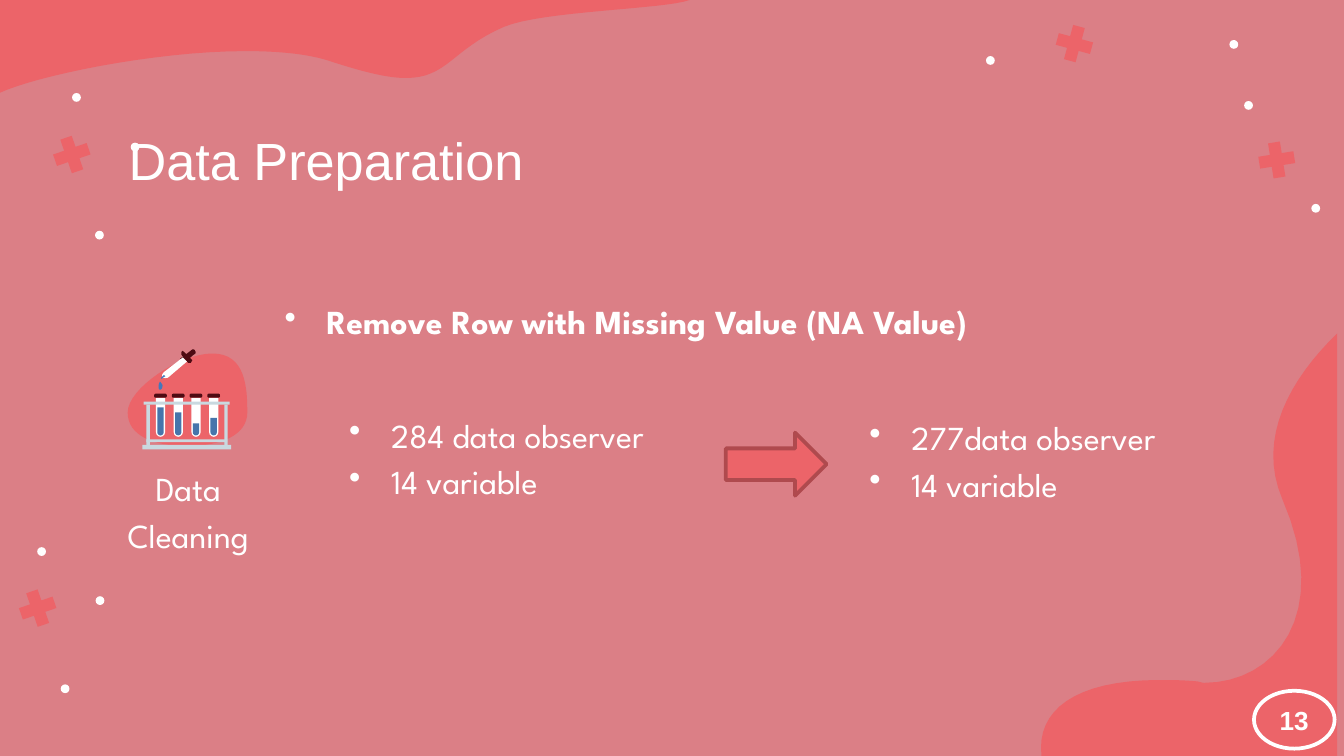
import pptx
import pptx.dml.color
import pptx.enum.shapes
import pptx.enum.text
import pptx.oxml.ns
import pptx.util
from lxml import etree

Pt = pptx.util.Pt
KIND = pptx.enum.shapes.MSO_SHAPE
ALIGN = pptx.enum.text.PP_ALIGN
ANCHOR = pptx.enum.text.MSO_ANCHOR

ROSE, CORAL, WHITE = "DB7F86", "EC6469", "FFFFFF"
MAROON, STEEL, BLUE, DROP = "4F0B13", "C9D9E0", "4675AB", "4477BB"
BODY = "League Spartan"

# In an outline, a pair is a corner and six numbers are a Bezier curve.
CORNER = [
    (716.4, 405), (716.4, 178.6),
    (691.2, 203, 673.2, 234.7, 686.9, 267.1),
    (714.2, 329.8, 682.6, 365.8, 645.1, 365.8),
    (643.7, 365.8, 642.2, 365, 640.8, 365),
    (633.6, 364.3, 626.4, 364.3, 621.4, 364.3),
    (575.3, 364.3, 555.1, 380.9, 558, 405),
]
WAVE = [
    (0, 0), (0, 49.7),
    (18.7, 41, 81.4, 27.4, 131.8, 27.4),
    (149, 27.4, 165.6, 28.8, 177.8, 33.1),
    (195.8, 38.9, 208.1, 41.8, 217.4, 41.8),
    (239.8, 41.8, 241.9, 26.6, 270, 14.4),
    (290.2, 5.8, 356.4, 5, 369.4, 0),
]
SPOT = [
    (113.8, 189.4),
    (96.5, 189.4, 68.4, 208.1, 68.4, 221),
    (68.4, 233.3, 82.1, 239, 100.1, 239),
    (118.1, 239, 132.5, 233.3, 132.5, 221),
    (132.5, 208.1, 131.8, 189.4, 113.8, 189.4),
]
DROPPER = [
    ([(97.9, 187.9), (97.2, 188.6), (97.2, 190.1), (100.8, 194.4),
      (102.2, 194.4), (103, 193), (98.6, 188.6)], MAROON),
    ([(103, 187.2), (102.2, 187.9), (96.5, 192.2), (98.6, 194.4),
      (103.7, 190.1), (105.1, 189.4, 105.1, 188.6, 104.4, 187.9),
      (104.4, 187.2, 103.7, 187.2, 103, 187.2)], MAROON),
    ([(97.9, 191.5), (87.8, 199.4), (87.1, 200.2, 86.4, 200.9, 87.1, 202.3),
      (87.8, 202.6, 89.3, 202.6, 90, 202.3), (100.1, 193.7)], WHITE),
    ([(87.8, 200.9), (86.4, 202.3), (86.4, 203), (88.6, 201.6)], DROP),
    ([(85.7, 204.5), (85.7, 204.5, 85, 205.9, 85, 206.6),
      (85, 208.1, 85, 208.8, 85.8, 208.8),
      (86.4, 208.8, 87.1, 208.1, 87.1, 206.6),
      (87.1, 205.9, 85.7, 204.5, 85.7, 204.5)], DROP),
]
CROSSES = [(20.2, 325.8, -19), (684, 85.7, -9), (575.6, 23.4, 15), (38.5, 82.8, -19)]
DOTS = [
    (22.3, 295.5), (34.9, 369), (53.6, 321.8), (704.9, 111.6), (668.9, 56.5),
    (661, 23.8), (530.6, 32.4), (41, 52.2), (53.3, 126), (72.4, 78.8),
]
LEVELS = [218.2, 221, 226.8, 223.9]
RACK = [
    (78.5, 235.4, 43.2, 1.6), (76.3, 238.3, 47.5, 2.5), (77, 215.2, 46.1, 1.6),
    (78.5, 216.7, 1.8, 23), (120.2, 216.7, 1.8, 23),
]


def paint(color):
    return pptx.dml.color.RGBColor.from_string(color)


def dress(shape, fill, line=None):
    """Set fill and outline, and drop the shadow."""
    shape.shadow.inherit = False
    shape.fill.solid()
    shape.fill.fore_color.rgb = paint(fill)
    if line:
        shape.line.color.rgb = paint(line)
        shape.line.width = Pt(2)
    else:
        shape.line.fill.background()
    return shape


def block(shapes, kind, box, fill, line=None, adjust=()):
    shape = dress(shapes.add_shape(kind, *map(Pt, box)), fill, line)
    for index, value in enumerate(adjust):
        shape.adjustments[index] = value
    return shape


def trace(outline, steps=16):
    """Turn corners and curves into a list of points."""
    points = [outline[0]]
    for part in outline[1:]:
        if len(part) == 2:
            points.append(part)
            continue
        knots = [points[-1], part[:2], part[2:4], part[4:]]
        for step in range(1, steps + 1):
            t = step / steps
            u = 1 - t
            mix = (u**3, 3 * u * u * t, 3 * u * t * t, t**3)
            points.append(tuple(sum(m * k[axis] for m, k in zip(mix, knots))
                                for axis in (0, 1)))
    return points


def blob(shapes, outline, fill):
    points = [(Pt(x), Pt(y)) for x, y in trace(outline)]
    maker = shapes.build_freeform(*points[0])
    maker.add_line_segments(points[1:])
    dress(maker.convert_to_shape(), fill)


def bullet(para):
    props = para._p.get_or_add_pPr()
    props.set("marL", str(Pt(22.5)))
    props.set("indent", str(Pt(-22.5)))
    tint = etree.SubElement(props, pptx.oxml.ns.qn("a:buClr"))
    etree.SubElement(tint, pptx.oxml.ns.qn("a:srgbClr"), val=WHITE)
    etree.SubElement(props, pptx.oxml.ns.qn("a:buChar"), char="•")


def write(shape, *lines, size=18, font=BODY, bold=False, align=ALIGN.LEFT,
          anchor=ANCHOR.TOP, inset=7.2, space=1, dots=False):
    frame = shape.text_frame
    frame.word_wrap = True
    frame.vertical_anchor = anchor
    frame.margin_left = frame.margin_right = Pt(inset)
    frame.margin_top = frame.margin_bottom = Pt(inset)
    for index, line in enumerate(lines):
        para = frame.add_paragraph() if index else frame.paragraphs[0]
        para.alignment = align
        para.line_spacing = space
        if dots:
            bullet(para)
        run = para.add_run()
        run.text = line
        run.font.name = font
        run.font.size = Pt(size)
        run.font.bold = bold
        run.font.color.rgb = paint(WHITE)


def label(shapes, box, *lines, **style):
    write(shapes.add_textbox(*map(Pt, box)), *lines, **style)


def scatter(shapes):
    """Draw the small crosses and dots of the backdrop."""
    for x, y, turn in CROSSES:
        cross = block(shapes, KIND.CROSS, (x - 9.5, y - 9.5, 19, 19), CORAL, adjust=[0.33])
        cross.rotation = turn
    for x, y in DOTS:
        block(shapes, KIND.OVAL, (x - 2.35, y - 2.35, 4.7, 4.7), WHITE)


def lab(shapes):
    """Draw the test tubes, their rack and the dropper."""
    tube = KIND.ROUND_2_SAME_RECTANGLE
    for index, level in enumerate(LEVELS):
        x = 86 + 9.5 * index
        block(shapes, tube, (x - 2.45, 213.1, 4.9, 20.9), WHITE, adjust=[0, 0.5])
        block(shapes, KIND.ROUNDED_RECTANGLE, (x - 3.4, 210.9, 6.8, 2.2), MAROON, adjust=[0.4])
        block(shapes, tube, (x - 1.7, level, 3.4, 233.3 - level), BLUE, adjust=[0, 0.5])
    for bar in RACK:
        block(shapes, KIND.RECTANGLE, bar, STEEL)
    for outline, fill in DROPPER:
        blob(shapes, outline, fill)


def main():
    deck = pptx.Presentation()
    deck.slide_width, deck.slide_height = Pt(720), Pt(405)
    slide = deck.slides.add_slide(deck.slide_layouts[6])
    slide.background.fill.solid()
    slide.background.fill.fore_color.rgb = paint(ROSE)
    shapes = slide.shapes

    blob(shapes, CORNER, CORAL)
    blob(shapes, WAVE, CORAL)
    scatter(shapes)

    label(shapes, (56.2, 67, 236.9, 37.4), "Data Preparation", size=28, font="Arial",
          align=ALIGN.CENTER, anchor=ANCHOR.MIDDLE)
    label(shapes, (56.2, 240.5, 89.3, 31.7), "Data Cleaning", align=ALIGN.CENTER, space=1.15)
    label(shapes, (145.4, 154.1, 448.6, 37.4), "Remove Row with Missing Value (NA Value)",
          bold=True, dots=True)
    block(shapes, KIND.RIGHT_ARROW, (388.8, 231.8, 54, 33.8), CORAL, "AF4A4E")
    label(shapes, (180, 211.7, 216.7, 66.2), "284 data observer", "14 variable",
          space=1.15, dots=True)
    blob(shapes, SPOT, CORAL)
    lab(shapes.add_group_shape().shapes)
    label(shapes, (458.6, 213.1, 216.7, 66.2), "277data observer", "14 variable",
          space=1.15, dots=True)

    badge = block(shapes, KIND.OVAL, (671.8, 370.1, 43.2, 31), CORAL, WHITE)
    write(badge, "13", size=14, font="Arial", bold=True, align=ALIGN.CENTER,
          anchor=ANCHOR.MIDDLE, inset=0)
    deck.save("out.pptx")


if __name__ == "__main__":
    main()
